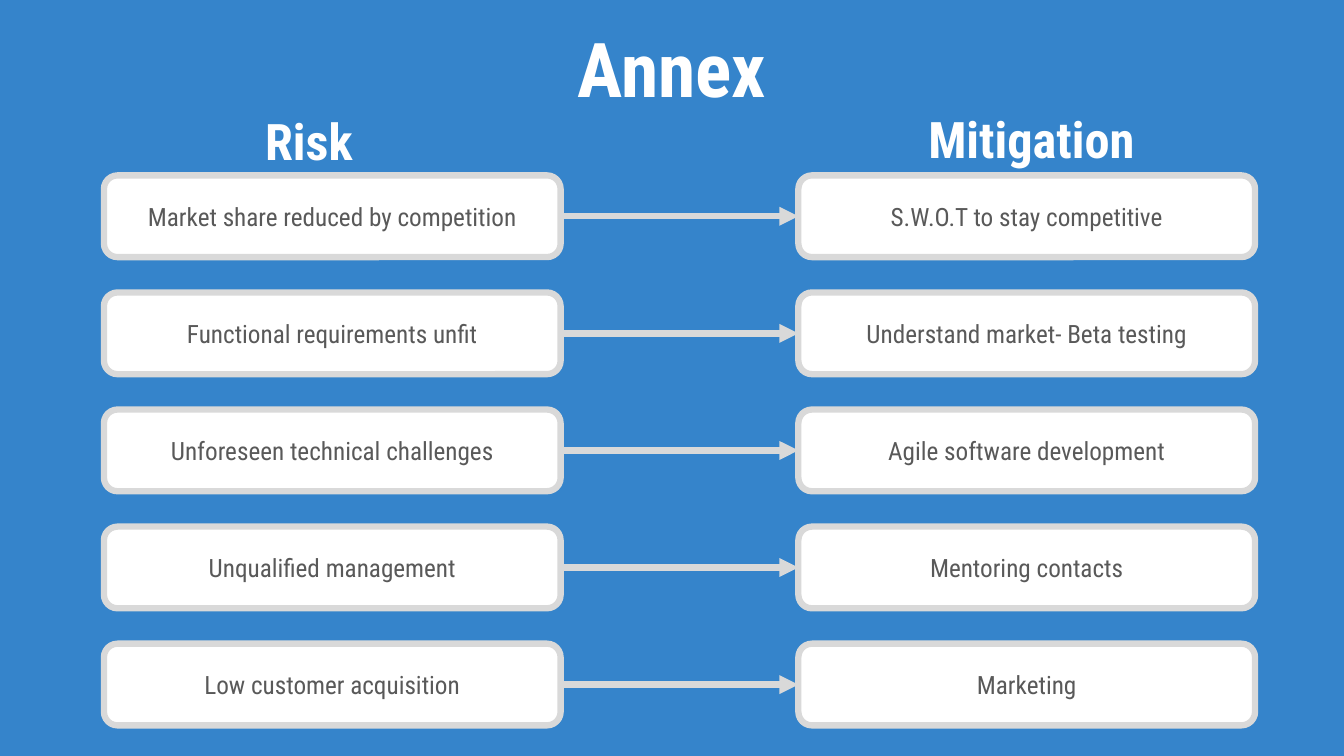
import lxml.etree
import pptx
import pptx.dml.color
import pptx.enum.shapes
import pptx.enum.text
import pptx.oxml.ns
import pptx.util

Cm = pptx.util.Cm
Pt = pptx.util.Pt


def colour(hex_code):
    return pptx.dml.color.RGBColor.from_string(hex_code)


class RiskSlide:
    """Draws styled headings, cards and arrows on one slide."""

    FONT = "Roboto Condensed"
    BLUE, WHITE, GREY, INK = "3584CB", "FFFFFF", "D9D9D9", "595959"
    BORDER = 4.5

    def __init__(self, deck):
        self.slide = deck.slides.add_slide(deck.slide_layouts[5])
        backdrop = self.slide.background.fill
        backdrop.solid()
        backdrop.fore_color.rgb = colour(self.BLUE)

    def set_words(self, holder, words, size, ink, anchor, bold=False):
        frame = holder.text_frame
        frame.word_wrap = True
        frame.auto_size = pptx.enum.text.MSO_AUTO_SIZE.NONE
        frame.vertical_anchor = anchor
        frame.text = words
        line = frame.paragraphs[0]
        line.alignment = pptx.enum.text.PP_ALIGN.CENTER
        line.font.name = self.FONT
        line.font.size = Pt(size)
        line.font.bold = bold
        line.font.color.rgb = colour(ink)
        return line

    def heading(self, holder, words, size):
        bottom = pptx.enum.text.MSO_ANCHOR.BOTTOM
        line = self.set_words(holder, words, size, self.WHITE, bottom, True)
        line.line_spacing = 0.9

    def title(self, words, left, top, width, height):
        headline = self.slide.shapes.title
        headline.left, headline.top = Cm(left), Cm(top)
        headline.width, headline.height = Cm(width), Cm(height)
        self.heading(headline, words, 54)

    def column_heading(self, words, left, top, width, height):
        label = self.slide.shapes.add_textbox(Cm(left), Cm(top), Cm(width), Cm(height))
        self.heading(label, words, 36)

    def outline(self, line):
        line.color.rgb = colour(self.GREY)
        line.width = Pt(self.BORDER)

    def card(self, words, left, top, width, height):
        card = self.slide.shapes.add_shape(
            pptx.enum.shapes.MSO_SHAPE.ROUNDED_RECTANGLE,
            Cm(left), Cm(top), Cm(width), Cm(height))
        card.shadow.inherit = False
        card.fill.solid()
        card.fill.fore_color.rgb = colour(self.WHITE)
        self.outline(card.line)
        self.set_words(card, words, 18, self.INK, pptx.enum.text.MSO_ANCHOR.MIDDLE)
        return card

    def arrow(self, risk, mitigation):
        arrow = self.slide.shapes.add_connector(
            pptx.enum.shapes.MSO_CONNECTOR.STRAIGHT, 0, 0, 0, 0)
        arrow.begin_connect(risk, 3)
        arrow.end_connect(mitigation, 1)
        self.outline(arrow.line)
        qn = pptx.oxml.ns.qn
        properties = arrow._element.spPr
        stroke = properties.find(qn("a:ln"))
        lxml.etree.SubElement(stroke, qn("a:tailEnd"), type="triangle")
        lxml.etree.SubElement(properties, qn("a:effectLst"))


RISK_LEFT, MITIGATION_LEFT = 2.62, 20.12
CARD_WIDTH, CARD_HEIGHT = 11.51, 2.06
FIRST_TOP, ROW_STEP = 4.42, 2.95
RESPONSES = [
    ("Market share reduced by competition", "S.W.O.T to stay competitive"),
    ("Functional requirements unfit", "Understand market- Beta testing"),
    ("Unforeseen technical challenges", "Agile software development"),
    ("Unqualified management", "Mentoring contacts"),
    ("Low customer acquisition", "Marketing"),
]


def main():
    deck = pptx.Presentation()
    deck.slide_width, deck.slide_height = Cm(33.87), Cm(19.05)
    annex = RiskSlide(deck)
    annex.title("Annex", 0, 0, 33.87, 3)
    annex.column_heading("Risk", 2.03, 2.85, CARD_WIDTH, 1.6)
    annex.column_heading("Mitigation", 20.24, 2.79, CARD_WIDTH, 1.6)
    for row, (risk, mitigation) in enumerate(RESPONSES):
        top = FIRST_TOP + row * ROW_STEP
        risk_card = annex.card(risk, RISK_LEFT, top, CARD_WIDTH, CARD_HEIGHT)
        mitigation_card = annex.card(
            mitigation, MITIGATION_LEFT, top, CARD_WIDTH, CARD_HEIGHT)
        annex.arrow(risk_card, mitigation_card)
    deck.save("out.pptx")


if __name__ == "__main__":
    main()
